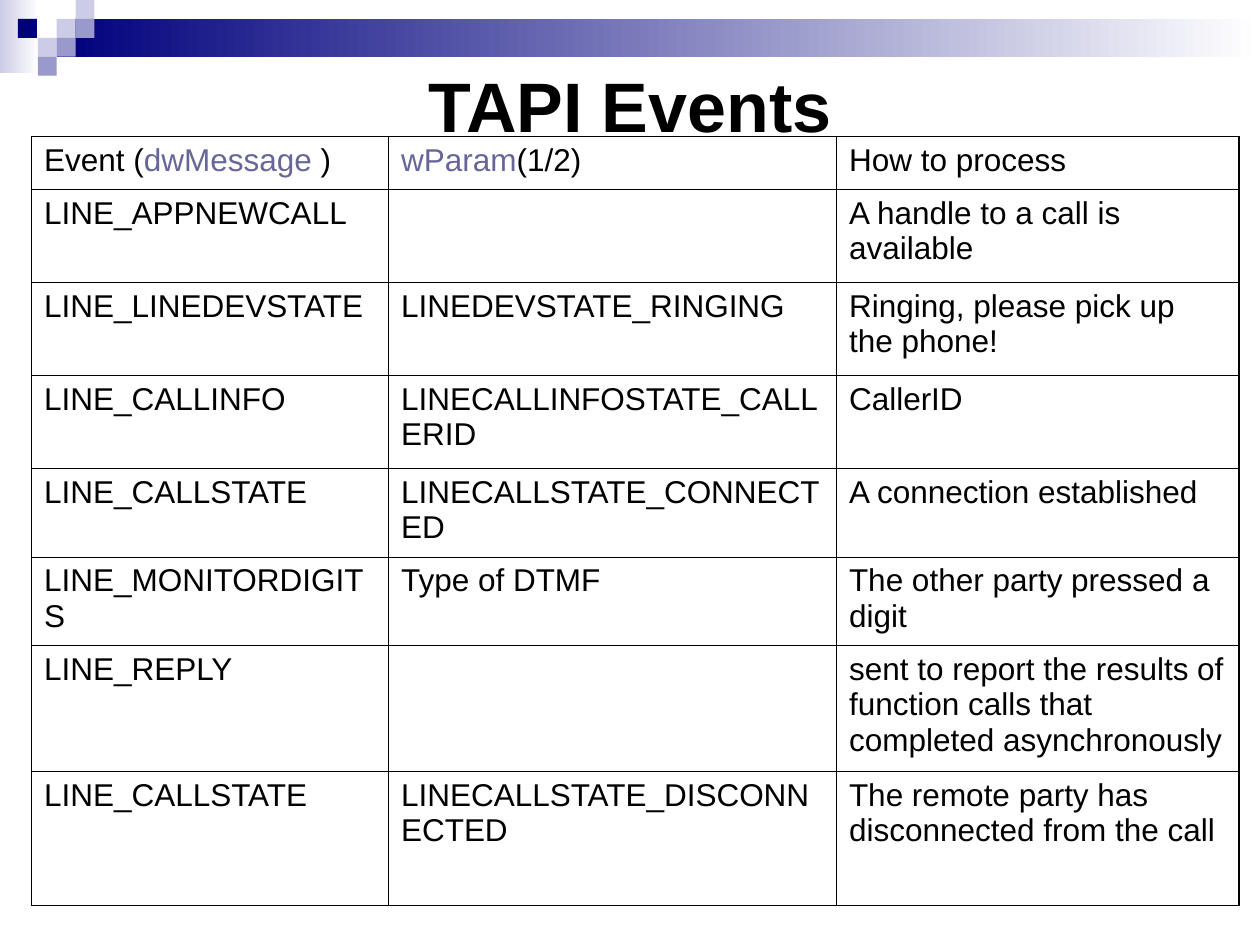
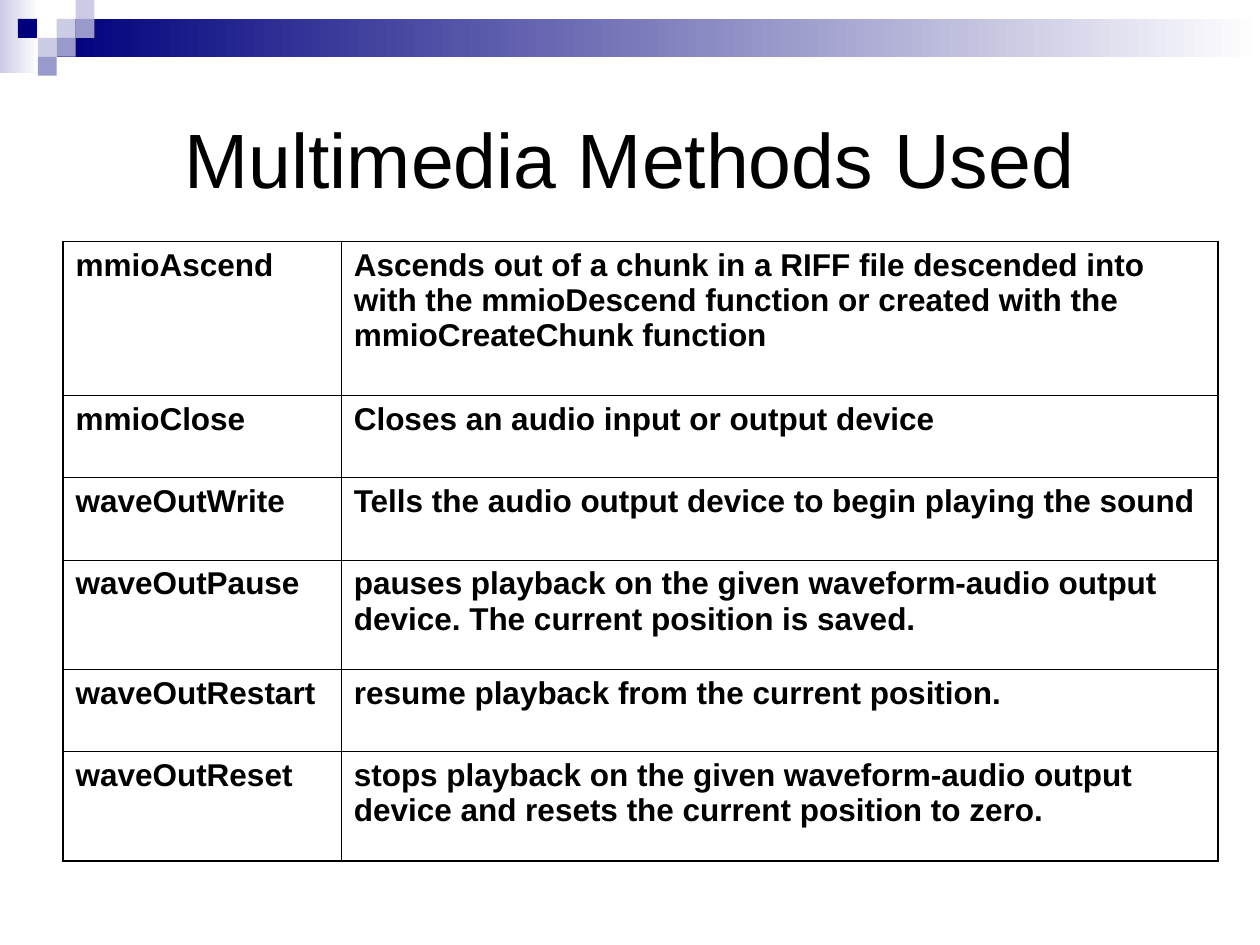
from lxml import etree
from pptx import Presentation
from pptx import util as u
from pptx.dml.color import RGBColor
from pptx.enum import shapes, text
from pptx.oxml import ns

Pt = u.Pt

COLORS = {
    "white": "FFFFFF",
    "black": "000000",
    "navy": "00007D",
    "lavender": "CCCCE6",
    "periwinkle": "9999CC",
    "slate": "666699",
}
FONT = "Arial"
SQUARE = 10.8
HEADER_SQUARES = [
    (3, 1, "lavender"),
    (4, 0, "lavender"),
    (4, 1, "periwinkle"),
    (2, 2, "lavender"),
    (0.95, 1, "navy"),
    (3, 2, "periwinkle"),
    (2, 3, "periwinkle"),
]
OUTER_LINE, INNER_LINE = 1.08, 0.45

TAPI_EVENTS = [
    (["Event (", ("dwMessage", "slate"), " )"], [("wParam", "slate"), "(1/2)"], ["How to process"]),
    (["LINE_APPNEWCALL"], [], ["A handle to a call is available"]),
    (["LINE_LINEDEVSTATE"], ["LINEDEVSTATE_RINGING"], ["Ringing, please pick up the phone!"]),
    (["LINE_CALLINFO"], ["LINECALLINFOSTATE_CALLERID"], ["CallerID"]),
    (["LINE_CALLSTATE"], ["LINECALLSTATE_CONNECTED"], ["A connection established"]),
    (["LINE_MONITORDIGITS"], ["Type of DTMF"], ["The other party pressed a digit"]),
    (["LINE_REPLY"], [], ["sent to report the results of function calls that completed asynchronously"]),
    (["LINE_CALLSTATE"], ["LINECALLSTATE_DISCONNECTED"],
     ["The remote party has disconnected from the call"]),
]

MULTIMEDIA_METHODS = [
    (["mmioAscend"], ["Ascends out of a chunk in a RIFF file descended into with the "
                      "mmioDescend function or created with the mmioCreateChunk function"]),
    (["mmioClose"], ["Closes an audio input or output device"]),
    (["waveOutWrite"], ["Tells the audio output device to begin playing the sound"]),
    (["waveOutPause"], ["pauses playback on the given waveform-audio output device. "
                        "The current position is saved."]),
    (["waveOutRestart"], ["resume playback from the current position."]),
    (["waveOutReset"], ["stops playback on the given waveform-audio output device "
                        "and resets the current position to zero."]),
]


def rgb(color):
    return RGBColor.from_string(COLORS[color])


class Deck:
    def __init__(self):
        self.presentation = Presentation()
        self.presentation.slide_width = Pt(720)
        self.presentation.slide_height = Pt(540)
        self.slide = None

    def add_slide(self):
        self.slide = self.presentation.slides.add_slide(self.presentation.slide_layouts[6])
        self.header()

    def header(self):
        group = self.slide.shapes.add_group_shape()
        self.rectangle(group, 0, 0, 22.3, 41.8, "white", "lavender")
        self.rectangle(group, 3 * SQUARE, SQUARE, 720 - 3 * SQUARE, 2 * SQUARE, "white", "navy")
        for column, row, color in HEADER_SQUARES:
            self.rectangle(group, column * SQUARE, row * SQUARE, SQUARE, SQUARE, color)

    def rectangle(self, group, left, top, width, height, color, end_color=None):
        shape = group.shapes.add_shape(
            shapes.MSO_SHAPE.RECTANGLE, Pt(left), Pt(top), Pt(width), Pt(height))
        shape.shadow.inherit = False
        shape.line.fill.background()
        if end_color:
            shape.fill.gradient()
            shape.fill.gradient_angle = 180
            for stop, name in zip(shape.fill.gradient_stops, (color, end_color)):
                stop.color.rgb = rgb(name)
        else:
            shape.fill.solid()
            shape.fill.fore_color.rgb = rgb(color)

    def style_run(self, run, size, bold, color="black"):
        run.font.name = FONT
        run.font.size = Pt(size)
        run.font.bold = bold
        run.font.color.rgb = rgb(color)

    def title(self, words, height, size, bold=False):
        shape = self.slide.shapes.add_textbox(Pt(36), Pt(36), Pt(648), Pt(height))
        text_frame = shape.text_frame
        text_frame.word_wrap = True
        text_frame.vertical_anchor = text.MSO_ANCHOR.MIDDLE
        text_frame.text = words
        paragraph = text_frame.paragraphs[0]
        paragraph.alignment = text.PP_ALIGN.CENTER
        self.style_run(paragraph.runs[0], size, bold)

    def border(self, cell, side, width):
        properties = cell._tc.get_or_add_tcPr()
        line = etree.SubElement(properties, ns.qn(f"a:ln{side}"), w=str(Pt(width)))
        fill = etree.SubElement(line, ns.qn("a:solidFill"))
        etree.SubElement(fill, ns.qn("a:srgbClr"), val=COLORS["black"])

    def table(self, left, top, widths, heights, rows, bold=False):
        frame = self.slide.shapes.add_table(
            len(heights), len(widths), Pt(left), Pt(top), Pt(sum(widths)), Pt(sum(heights)))
        table = frame.table
        table.first_row = table.horz_banding = False
        for column, width in zip(table.columns, widths):
            column.width = Pt(width)
        for row, height in zip(table.rows, heights):
            row.height = Pt(height)
        last_row, last_column = len(heights) - 1, len(widths) - 1
        for row, contents in enumerate(rows):
            for column, pieces in enumerate(contents):
                cell = table.cell(row, column)
                edges = {"L": column == 0, "R": column == last_column,
                         "T": row == 0, "B": row == last_row}
                for side, is_outer in edges.items():
                    self.border(cell, side, OUTER_LINE if is_outer else INNER_LINE)
                cell.fill.background()
                self.cell_text(cell, pieces, bold)

    def cell_text(self, cell, pieces, bold):
        paragraph = cell.text_frame.paragraphs[0]
        for piece in pieces:
            words, color = (piece, "black") if isinstance(piece, str) else piece
            run = paragraph.add_run()
            run.text = words
            self.style_run(run, 18, bold, color)


def main():
    deck = Deck()

    deck.add_slide()
    deck.title("TAPI Events", 47.5, 40, bold=True)
    deck.table(18, 78, [204, 256, 230], [30.2, 53.2, 53.2, 53.2, 50.6, 50.6, 72, 76.4], TAPI_EVENTS)

    deck.add_slide()
    deck.title("Multimedia Methods Used", 108, 44)
    deck.table(36, 138, [159, 501], [88, 47, 47, 62.6, 47, 62.6], MULTIMEDIA_METHODS, bold=True)

    deck.presentation.save("out.pptx")


if __name__ == "__main__":
    main()
